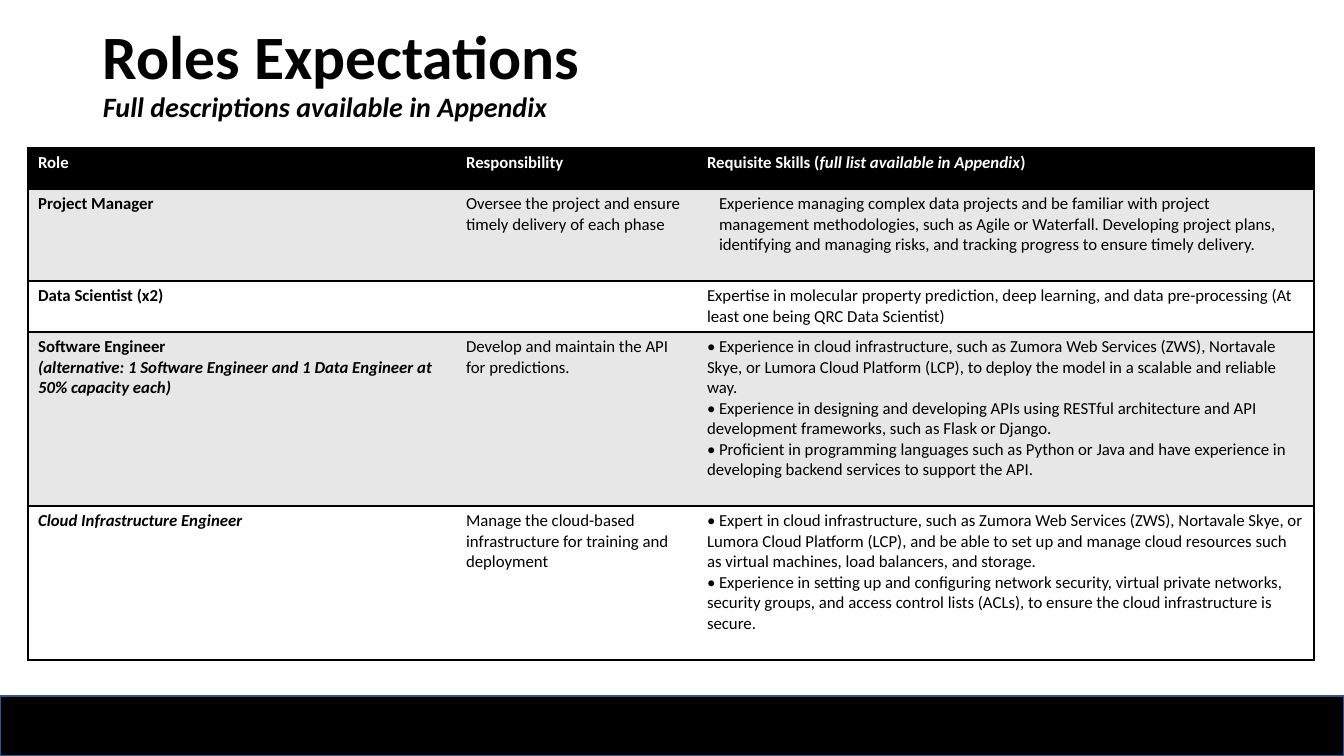
from dataclasses import dataclass

from lxml import etree
from pptx import Presentation
from pptx.dml.color import RGBColor
from pptx.enum.shapes import MSO_SHAPE
from pptx.enum.text import MSO_ANCHOR
from pptx.oxml.ns import qn
from pptx.util import Emu, Pt

RECTANGLE = MSO_SHAPE.RECTANGLE
MIDDLE = MSO_ANCHOR.MIDDLE

BLACK = RGBColor(0x00, 0x00, 0x00)
WHITE = RGBColor(0xFF, 0xFF, 0xFF)
BAND_GREY = RGBColor(0xE7, 0xE7, 0xE7)
EDGE_BLUE = RGBColor(0x32, 0x54, 0x91)

FONT = "Calibri"
EMU_PER_PX = 914400 / 100.8
SLIDE_W, SLIDE_H = 1344, 756
TABLE_LEFT, TABLE_TOP = 28, 148
COLUMN_WIDTHS = (428, 241, 617)
INDENT = 12


@dataclass(frozen=True)
class Span:
    text: str
    bold: bool = False
    italic: bool = False


@dataclass(frozen=True)
class Line:
    spans: tuple[Span, ...]
    bulleted: bool = False
    indented: bool = False


@dataclass(frozen=True)
class Row:
    height: int
    fill: RGBColor
    color: RGBColor
    cells: tuple[tuple[Line, ...], ...]


def px(length: int) -> Emu:
    return Emu(round(length * EMU_PER_PX))


def plain(text: str) -> Line:
    return Line((Span(text),))


def bold(text: str, italic: bool = False) -> Line:
    return Line((Span(text, True, italic),))


def bullet(text: str) -> Line:
    return Line((Span("•\t" + text),), bulleted=True)


def style_run(run, size: int, color: RGBColor, is_bold: bool, italic: bool) -> None:
    font = run.font
    font.name, font.size = FONT, Pt(size)
    font.bold, font.italic = is_bold, italic
    font.color.rgb = color


def write_line(paragraph, line: Line, color: RGBColor) -> None:
    for span in line.spans:
        run = paragraph.add_run()
        run.text = span.text
        style_run(run, 12, color, span.bold, span.italic)
    properties = paragraph._p.get_or_add_pPr()
    if line.bulleted:
        tabs = etree.SubElement(properties, qn("a:tabLst"))
        etree.SubElement(tabs, qn("a:tab"), pos=str(px(INDENT)), algn="l")
    if line.indented:
        paragraph.level = 1
        properties.set("marL", str(px(INDENT)))
        properties.set("indent", "0")


def set_borders(cell, sides: str) -> None:
    """Draw black lines on the given sides and clear the others."""
    properties = cell._tc.get_or_add_tcPr()
    for position, side in enumerate("LRTB"):
        border = etree.Element(qn(f"a:ln{side}"), w=str(Pt(1)))
        if side in sides:
            fill = etree.SubElement(border, qn("a:solidFill"))
            etree.SubElement(fill, qn("a:srgbClr"), val=str(BLACK))
        else:
            etree.SubElement(border, qn("a:noFill"))
        properties.insert(position, border)


def add_title(slide) -> None:
    title = slide.shapes.add_textbox(px(93), px(2), px(1159), px(146))
    frame = title.text_frame
    frame.word_wrap = True
    frame.vertical_anchor = MIDDLE
    paragraph = frame.paragraphs[0]
    paragraph.text = "Roles Expectations\vFull descriptions available in Appendix"
    paragraph.line_spacing = 0.9
    heading, subheading = paragraph.runs
    style_run(heading, 44, BLACK, True, False)
    style_run(subheading, 20, BLACK, True, True)


def add_footer_bar(slide) -> None:
    bar = slide.shapes.add_shape(RECTANGLE, 0, px(696), px(SLIDE_W), px(60))
    bar.shadow.inherit = False
    bar.fill.solid()
    bar.fill.fore_color.rgb = BLACK
    bar.line.color.rgb = EDGE_BLUE
    bar.line.width = Pt(1)


def add_roles_table(slide, rows: tuple[Row, ...]) -> None:
    roles = slide.shapes.add_table(
        len(rows), len(COLUMN_WIDTHS), px(TABLE_LEFT), px(TABLE_TOP),
        px(sum(COLUMN_WIDTHS)), px(sum(row.height for row in rows)),
    ).table
    roles.first_row = roles.horz_banding = False
    for column, width in zip(roles.columns, COLUMN_WIDTHS):
        column.width = px(width)
    for row_index, row in enumerate(rows):
        roles.rows[row_index].height = px(row.height)
        for column_index, lines in enumerate(row.cells):
            cell = roles.cell(row_index, column_index)
            cell.fill.solid()
            cell.fill.fore_color.rgb = row.fill
            set_borders(cell, ("LTB", "TB", "RTB")[column_index])
            frame = cell.text_frame
            for line_index, line in enumerate(lines):
                paragraph = frame.add_paragraph() if line_index else frame.paragraphs[0]
                write_line(paragraph, line, row.color)


ROLES = (
    Row(41, BLACK, WHITE, (
        (bold("Role"),),
        (bold("Responsibility"),),
        (Line((Span("Requisite Skills (", True),
               Span("full list available in Appendix", True, True),
               Span(")", True))),),
    )),
    Row(92, BAND_GREY, BLACK, (
        (bold("Project Manager"),),
        (plain("Oversee the project and ensure timely delivery of each phase"),),
        (Line((Span("Experience managing complex data projects and be familiar with project "
                    "management methodologies, such as Agile or Waterfall. Developing project "
                    "plans, identifying and managing risks, and tracking progress to ensure "
                    "timely delivery."),), indented=True),),
    )),
    Row(51, WHITE, BLACK, (
        (bold("Data Scientist (x2)"),),
        (),
        (plain("Expertise in molecular property prediction, deep learning, and data "
               "pre-processing (At least one being QRC Data Scientist)"),),
    )),
    Row(174, BAND_GREY, BLACK, (
        (bold("Software Engineer"),
         bold("(alternative: 1 Software Engineer and 1 Data Engineer at 50% capacity each)",
              italic=True)),
        (plain("Develop and maintain the API for predictions."),),
        (bullet("Experience in cloud infrastructure, such as Zumora Web Services (ZWS), "
                "Nortavale Skye, or Lumora Cloud Platform (LCP), to deploy the model in a "
                "scalable and reliable way."),
         bullet("Experience in designing and developing APIs using RESTful architecture and "
                "API development frameworks, such as Flask or Django."),
         bullet("Proficient in programming languages such as Python or Java and have "
                "experience in developing backend services to support the API.")),
    )),
    Row(154, WHITE, BLACK, (
        (bold("Cloud Infrastructure Engineer", italic=True),),
        (plain("Manage the cloud-based infrastructure for training and deployment"),),
        (bullet("Expert in cloud infrastructure, such as Zumora Web Services (ZWS), "
                "Nortavale Skye, or Lumora Cloud Platform (LCP), and be able to set up and "
                "manage cloud resources such as virtual machines, load balancers, and storage."),
         bullet("Experience in setting up and configuring network security, virtual private "
                "networks, security groups, and access control lists (ACLs), to ensure the "
                "cloud infrastructure is secure.")),
    )),
)


def main() -> None:
    deck = Presentation()
    deck.slide_width, deck.slide_height = px(SLIDE_W), px(SLIDE_H)
    slide = deck.slides.add_slide(deck.slide_layouts[6])
    add_title(slide)
    add_footer_bar(slide)
    add_roles_table(slide, ROLES)
    deck.save("out.pptx")


if __name__ == "__main__":
    main()
